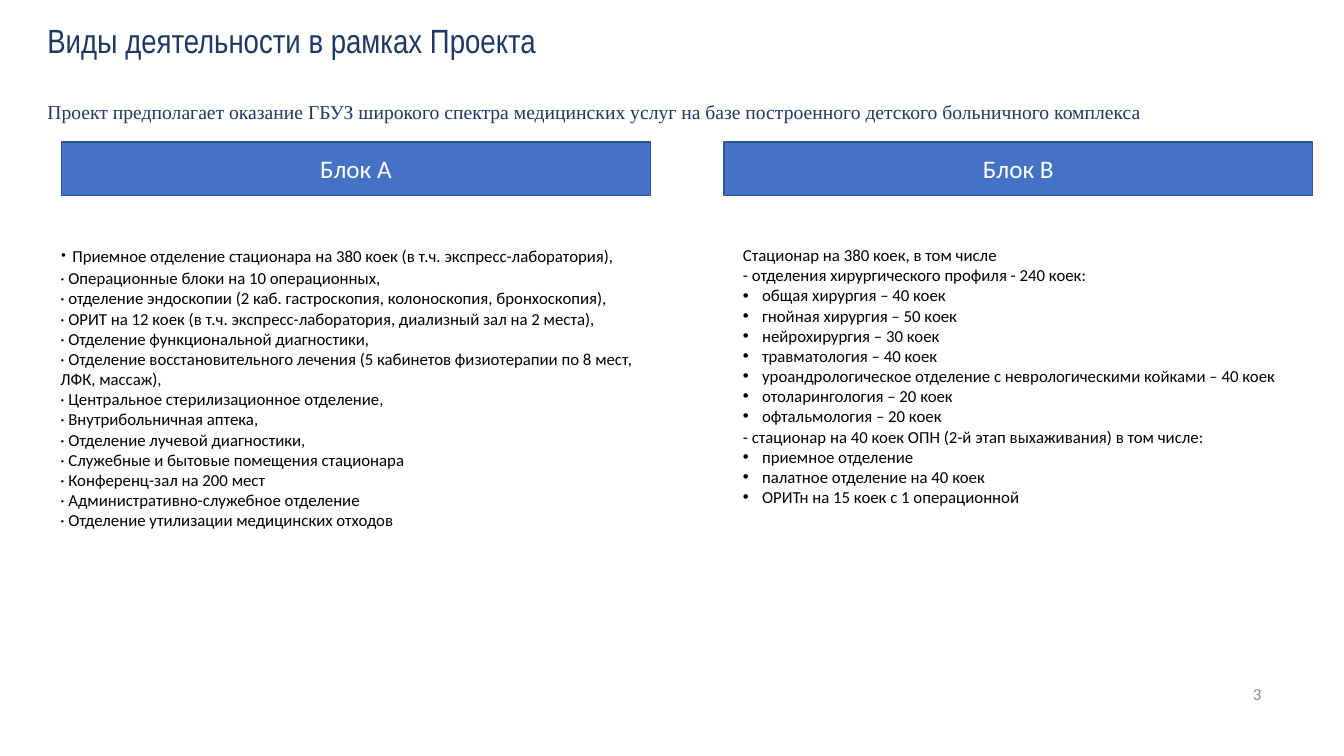
from dataclasses import dataclass

from lxml import etree
from pptx import Presentation
from pptx import util as u
from pptx.dml.color import RGBColor
from pptx.enum import shapes, text
from pptx.oxml.ns import qn

COLORS = {
    "navy": "203864",
    "block": "4472C4",
    "block_line": "2F5597",
    "white": "FFFFFF",
    "black": "000000",
    "gray": "8C8C8C",
}
BULLET_INDENT = u.Inches(0.19)


@dataclass(frozen=True)
class Style:
    size: float
    color: str
    font: str = "Calibri"
    align: text.PP_ALIGN = text.PP_ALIGN.LEFT
    anchor: text.MSO_ANCHOR = text.MSO_ANCHOR.TOP
    left_inset: float = 0.1
    line_spacing: float = 1.0


@dataclass(frozen=True)
class Line:
    words: str
    bulleted: bool = False
    marker: str = ""


@dataclass(frozen=True)
class Box:
    left: float
    top: float
    width: float
    height: float
    style: Style
    lines: list[Line]
    filled: bool = False


TITLE = Style(24, "navy", "Arial Narrow", anchor=text.MSO_ANCHOR.MIDDLE,
              left_inset=0, line_spacing=0.9)
SUBTITLE = Style(14, "navy", "Times New Roman", left_inset=0, line_spacing=0.9)
HEADER = Style(18, "white", align=text.PP_ALIGN.CENTER, anchor=text.MSO_ANCHOR.MIDDLE)
BODY = Style(12, "black")
NUMBER = Style(12, "gray", align=text.PP_ALIGN.RIGHT, anchor=text.MSO_ANCHOR.MIDDLE)

DEPARTMENTS = [
    "Операционные блоки на 10 операционных,",
    "отделение эндоскопии (2 каб. гастроскопия, колоноскопия, бронхоскопия),",
    "ОРИТ на 12 коек (в т.ч. экспресс-лаборатория, диализный зал на 2 места),",
    "Отделение функциональной диагностики,",
    "Отделение восстановительного лечения (5 кабинетов физиотерапии по 8 мест, ЛФК, массаж),",
    "Центральное стерилизационное отделение,",
    "Внутрибольничная аптека,",
    "Отделение лучевой диагностики,",
    "Служебные и бытовые помещения стационара",
    "Конференц-зал на 200 мест",
    "Административно-служебное отделение",
    "Отделение утилизации медицинских отходов",
]
SURGERY = [
    "общая хирургия – 40 коек",
    "гнойная хирургия – 50 коек",
    "нейрохирургия – 30 коек",
    "травматология – 40 коек",
    "уроандрологическое отделение с неврологическими койками – 40 коек",
    "отоларингология – 20 коек",
    "офтальмология – 20 коек",
]
NEONATAL = [
    "приемное отделение",
    "палатное отделение на 40 коек",
    "ОРИТн на 15 коек с 1 операционной",
]

BLOCK_A = [
    Line("Приемное отделение стационара на 380 коек (в т.ч. экспресс-лаборатория),", marker="· "),
    *[Line(f"· {department}") for department in DEPARTMENTS],
]
BLOCK_B = [
    Line("Стационар на 380 коек, в том числе"),
    Line("- отделения хирургического профиля - 240 коек:"),
    *[Line(ward, bulleted=True) for ward in SURGERY],
    Line("- стационар на 40 коек ОПН (2-й этап выхаживания) в том числе:"),
    *[Line(ward, bulleted=True) for ward in NEONATAL],
]

BOXES = [
    Box(9.61, 6.68, 3, 0.4, NUMBER, [Line("3")]),
    Box(0.47, 0.19, 11.5, 0.46, TITLE, [Line("Виды деятельности в рамках Проекта")]),
    Box(0.47, 0.97, 12.5, 0.53, SUBTITLE, [Line(
        "Проект предполагает оказание ГБУЗ широкого спектра медицинских услуг "
        "на базе построенного детского больничного комплекса")]),
    Box(0.61, 1.41, 5.84, 0.53, HEADER, [Line("Блок А")], filled=True),
    Box(7.18, 1.41, 5.84, 0.53, HEADER, [Line("Блок В")], filled=True),
    Box(0.5, 2.31, 6.12, 3.33, BODY, BLOCK_A),
    Box(7.27, 2.38, 6.12, 3.03, BODY, BLOCK_B),
]


def rgb(name: str) -> RGBColor:
    return RGBColor.from_string(COLORS[name])


def add_run(paragraph, words: str, style: Style, size: float) -> None:
    run = paragraph.add_run()
    run.text = words
    run.font.size = u.Pt(size)
    run.font.name = style.font
    run.font.color.rgb = rgb(style.color)


def add_bullet(paragraph) -> None:
    properties = paragraph._p.get_or_add_pPr()
    properties.set("marL", str(BULLET_INDENT))
    properties.set("indent", str(-BULLET_INDENT))
    etree.SubElement(properties, qn("a:buFont")).set("typeface", "Arial")
    etree.SubElement(properties, qn("a:buChar")).set("char", "•")


def write_lines(frame, style: Style, lines: list[Line]) -> None:
    frame.word_wrap = True
    frame.vertical_anchor = style.anchor
    frame.margin_left = u.Inches(style.left_inset)
    for index, line in enumerate(lines):
        paragraph = frame.add_paragraph() if index else frame.paragraphs[0]
        paragraph.alignment = style.align
        paragraph.line_spacing = style.line_spacing
        if line.bulleted:
            add_bullet(paragraph)
        if line.marker:
            add_run(paragraph, line.marker, style, 18)
        add_run(paragraph, line.words, style, style.size)


def draw_box(slide, box: Box) -> None:
    place = [u.Inches(length) for length in (box.left, box.top, box.width, box.height)]
    if box.filled:
        shape = slide.shapes.add_shape(shapes.MSO_SHAPE.RECTANGLE, *place)
        shape.shadow.inherit = False
        shape.fill.solid()
        shape.fill.fore_color.rgb = rgb("block")
        shape.line.color.rgb = rgb("block_line")
        shape.line.width = u.Pt(1)
    else:
        shape = slide.shapes.add_textbox(*place)
    write_lines(shape.text_frame, box.style, box.lines)


def main() -> None:
    presentation = Presentation()
    presentation.slide_width = u.Inches(13.33)
    presentation.slide_height = u.Inches(7.5)
    slide = presentation.slides.add_slide(presentation.slide_layouts[6])
    for box in BOXES:
        draw_box(slide, box)
    presentation.save("out.pptx")


if __name__ == "__main__":
    main()
